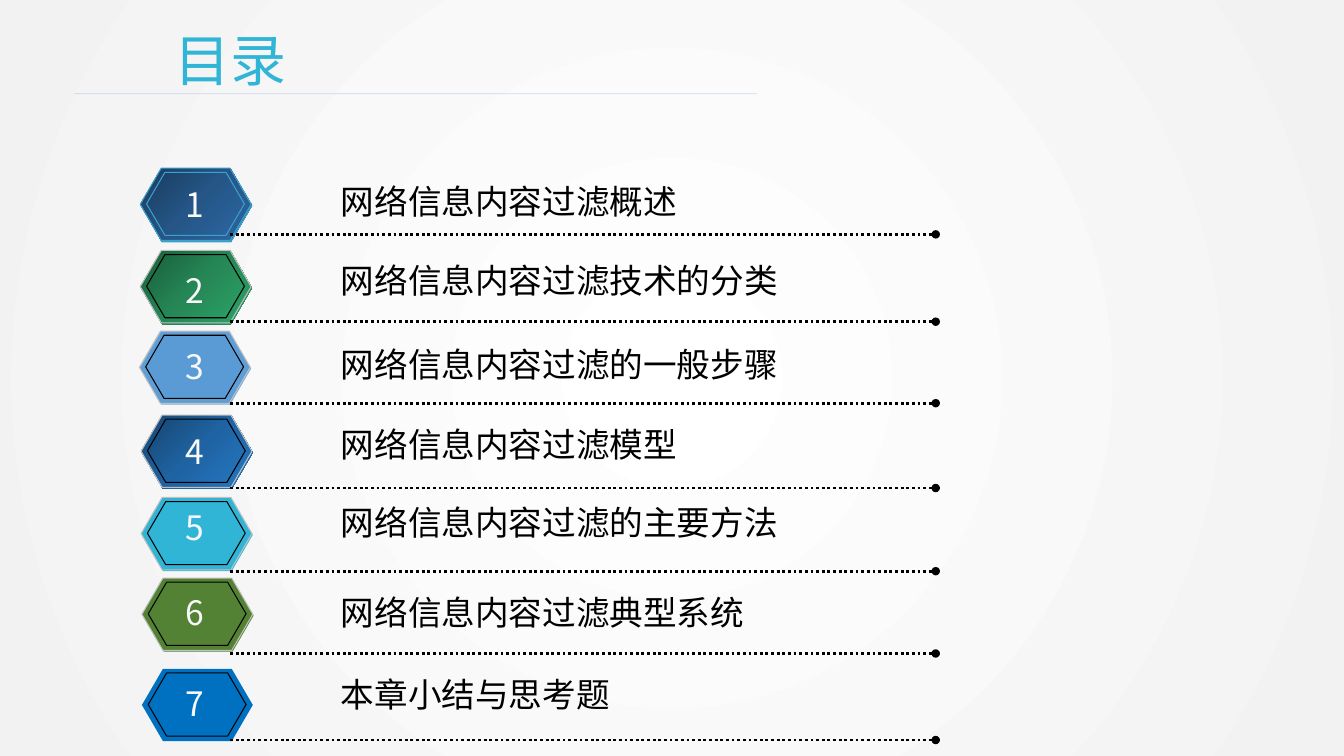
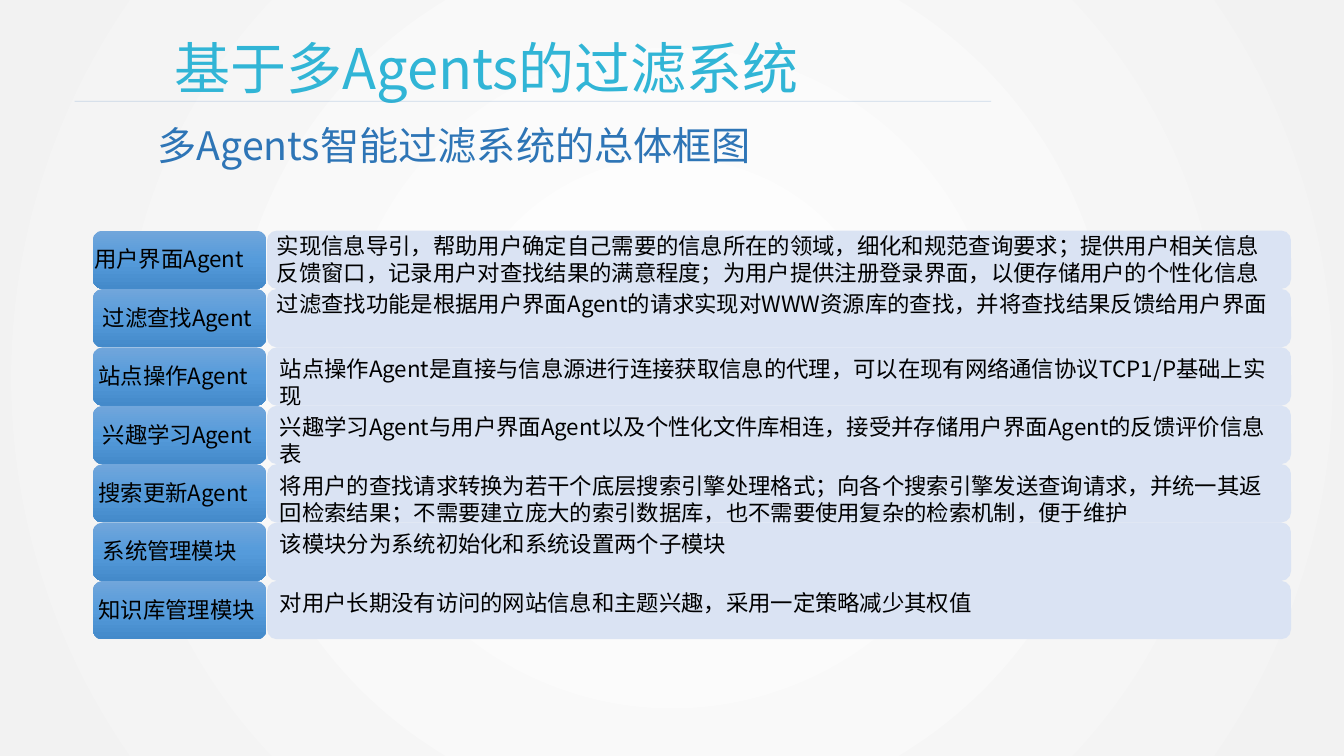
from dataclasses import dataclass

from lxml.etree import SubElement
from pptx import Presentation
from pptx.dml.color import RGBColor
from pptx.enum.dml import MSO_LINE_DASH_STYLE as Dash
from pptx.enum.shapes import MSO_CONNECTOR, MSO_SHAPE
from pptx.enum.text import MSO_ANCHOR, PP_ALIGN
from pptx.oxml import parse_xml
from pptx.oxml.ns import nsdecls, qn
from pptx.util import Inches, Pt

COLUMNS, ROWS = 160, 90
CELL = Inches(1) / 12


@dataclass(frozen=True)
class Theme:
    font: str = "Noto Sans CJK SC"
    title: str = "31B5D6"
    subtitle: str = "2E75B6"
    ink: str = "000000"
    number: str = "F8F8F8"
    title_line: str = "4A7EBB"
    edge: str = "C0C0C0"
    first_edge: str = "3DA2CB"
    panel: str = "DAE3F3"
    background: tuple = ("FFFFFF", "F2F2F2")
    card: tuple = ("71A6DB", "559BDB", "448ACA")
    title_size: int = 40
    subtitle_size: int = 28
    item_size: int = 24
    body_size: int = 16
    line_height: float = 1.2


THEME = Theme()


@dataclass(frozen=True)
class Box:
    """A region measured in grid columns and rows."""
    left: float
    top: float
    width: float
    height: float

    def inset(self, left, top, width, height):
        return Box(self.left + left, self.top + top, width, height)

    def emu(self):
        return [round(CELL * value) for value in
                (self.left, self.top, self.width, self.height)]


@dataclass(frozen=True)
class Chapter:
    """A contents entry; number, label and line are offsets from its top."""
    title: str
    fill: object
    left: float
    top: float
    number: float
    label: float
    line: float
    opacity: int = 100
    edge: str = THEME.edge
    inner_edge: str = THEME.ink
    stacked: bool = True


@dataclass(frozen=True)
class Module:
    name: str
    description: str
    shift: float = 0
    floating: bool = False


CHAPTERS = [
    Chapter("网络信息内容过滤概述", ("1A3C5F", "255687", "2B66A1"), 16.7, 20, 1.3, 0.9, 7.9,
            edge=THEME.first_edge, inner_edge=THEME.first_edge),
    Chapter("网络信息内容过滤技术的分类", ("1A5F3C", "258756", "2BA166"),
            16.7, 29.8, 1.8, 0.6, 8.5),
    Chapter("网络信息内容过滤的一般步骤", "5B9BD5", 16.6, 39.4, 1.2, 1, 8.6, opacity=83),
    Chapter("网络信息内容过滤模型", ("164672", "1F63A2", "2476C0"), 16.8, 49.4, 1.3, 0.5, 8.7),
    Chapter("网络信息内容过滤的主要方法", "31B5D6", 16.8, 59.2, 0.5, 0, 8.8),
    Chapter("网络信息内容过滤典型系统", "548235", 16.9, 68.8, 1.1, 1.1, 9),
    Chapter("本章小结与思考题", "0070C0", 16.9, 79.6, 1.1, 0, 8.5, edge=None, stacked=False),
]

MODULES = [
    Module("用户界面Agent", "实现信息导引，帮助用户确定自己需要的信息所在的领域，细化和规范查询要求；"
           "提供用户相关信息反馈窗口，记录用户对查找结果的满意程度；"
           "为用户提供注册登录界面，以便存储用户的个性化信息", -1, True),
    Module("过滤查找Agent", "过滤查找功能是根据用户界面Agent的请求实现对WWW资源库的查找，"
           "并将查找结果反馈给用户界面", floating=True),
    Module("站点操作Agent", "站点操作Agent是直接与信息源进行连接获取信息的代理，"
           "可以在现有网络通信协议TCP1/P基础上实现", -0.5),
    Module("兴趣学习Agent", "兴趣学习Agent与用户界面Agent以及个性化文件库相连，"
           "接受并存储用户界面Agent的反馈评价信息表"),
    Module("搜索更新Agent", "将用户的查找请求转换为若干个底层搜索引擎处理格式；"
           "向各个搜索引擎发送查询请求，并统一其返回检索结果；"
           "不需要建立庞大的索引数据库，也不需要使用复杂的检索机制，便于维护", -0.5),
    Module("系统管理模块", "该模块分为系统初始化和系统设置两个子模块"),
    Module("知识库管理模块", "对用户长期没有访问的网站信息和主题兴趣，采用一定策略减少其权值", -0.5),
]


def fill_gradient(owner, colors, angle=None):
    """Spread colours evenly along an angle, or outwards from the centre."""
    gradient = owner.element.xpath(".//a:gradFill")[0]
    for child in list(gradient):
        gradient.remove(child)
    stops = SubElement(gradient, qn("a:gsLst"))
    for index, color in enumerate(colors):
        position = 100000 * index // (len(colors) - 1)
        stop = SubElement(stops, qn("a:gs"), pos=str(position))
        SubElement(stop, qn("a:srgbClr"), val=color)
    if angle is None:
        gradient.append(parse_xml(
            f'<a:path {nsdecls("a")} path="circle">'
            '<a:fillToRect l="50000" t="50000" r="50000" b="50000"/></a:path>'))
    else:
        SubElement(gradient, qn("a:lin"), ang=str(angle * 60000), scaled="0")


def set_opacity(owner, percent):
    color = owner.element.xpath(".//a:srgbClr")[0]
    SubElement(color, qn("a:alpha"), val=str(percent * 1000))


def write(frame, text, size, color, align=PP_ALIGN.LEFT, wrap=True):
    frame.word_wrap = wrap
    frame.vertical_anchor = MSO_ANCHOR.TOP
    paragraph = frame.paragraphs[0]
    paragraph.alignment = align
    paragraph.line_spacing = Pt(size * THEME.line_height)
    run = paragraph.add_run()
    run.text = text
    run.font.size = Pt(size)
    run.font.name = THEME.font
    run.font.color.rgb = RGBColor.from_string(color)
    SubElement(run._r.get_or_add_rPr(), qn("a:ea"), typeface=THEME.font)


def add_text(slide, box, text, size, color, **options):
    shape = slide.shapes.add_textbox(*box.emu())
    write(shape.text_frame, text, size, color, **options)


def add_panel(slide, box, preset, fill, edge=None, angle=0, opacity=100):
    shape = slide.shapes.add_shape(preset, *box.emu())
    shape.shadow.inherit = False
    if isinstance(fill, tuple):
        shape.fill.gradient()
        fill_gradient(shape, fill, angle)
    else:
        shape.fill.solid()
        shape.fill.fore_color.rgb = RGBColor.from_string(fill)
        if opacity < 100:
            set_opacity(shape, opacity)
    if edge:
        shape.line.color.rgb = RGBColor.from_string(edge)
        shape.line.width = Pt(0.75)
    else:
        shape.line.fill.background()
    return shape


def add_line(slide, left, top, width, color, weight):
    x, y, length, _ = Box(left, top, width, 0).emu()
    line = slide.shapes.add_connector(MSO_CONNECTOR.STRAIGHT, x, y, x + length, y)
    line.line.color.rgb = RGBColor.from_string(color)
    line.line.width = Pt(weight)
    SubElement(line.element.spPr, qn("a:effectLst"))
    return line


def add_heading(slide, box, text, line_width):
    add_text(slide, box, text, THEME.title_size, THEME.title)
    line = add_line(slide, 8.9, box.top + 8.65, line_width, THEME.title_line, 0.5)
    set_opacity(line, 25)


def add_badge(slide, box, chapter):
    """Stack the hexagons behind a chapter number."""
    layers = [(box, chapter.edge),
              (box.inset(0.75, 0.5, 11.65, 7.55), chapter.inner_edge)]
    if chapter.stacked:
        back_edge = chapter.edge if chapter.edge != THEME.edge else None
        layers.insert(0, (box.inset(0.1, 0.15, box.width, box.height), back_edge))
    for layer, edge in layers:
        hexagon = add_panel(slide, layer, MSO_SHAPE.HEXAGON, chapter.fill, edge,
                            angle=45, opacity=chapter.opacity)
        hexagon.adjustments[0] = 0.29
        hexagon.adjustments[1] = 1.15


def add_chapter(slide, box, number, chapter):
    add_badge(slide, box, chapter)
    line = add_line(slide, 27.4, box.top + chapter.line, 84, THEME.ink, 2)
    line.line.dash_style = Dash.ROUND_DOT
    outline = line.element.xpath(".//a:ln")[0]
    SubElement(outline, qn("a:tailEnd"), type="oval")
    add_text(slide, Box(20.8, box.top + chapter.number, 4.8, 6), str(number),
             THEME.item_size, THEME.number, align=PP_ALIGN.CENTER, wrap=False)
    add_text(slide, Box(39.4, box.top + chapter.label, 54.4, 6.4), chapter.title,
             THEME.item_size, THEME.ink, wrap=True)


def add_module(slide, box, module):
    """Place a module's name card and its description side by side."""
    name_width, gap = 20.65, 0.1
    add_panel(slide, box.inset(0, 0, name_width, box.height),
              MSO_SHAPE.ROUNDED_RECTANGLE, THEME.card, angle=90)
    add_text(slide, box.inset(module.shift, 1.2, 21.6, 4.7), module.name,
             THEME.body_size, THEME.ink)
    start = name_width + gap
    width = box.width - start
    panel = add_panel(slide, box.inset(start, 0, width, box.height),
                      MSO_SHAPE.ROUNDED_RECTANGLE, THEME.panel)
    if module.floating:
        add_text(slide, box.inset(start, -0.45, width, 7.8), module.description,
                 THEME.body_size, THEME.ink)
    else:
        write(panel.text_frame, module.description, THEME.body_size, THEME.ink)


def build_contents(slide):
    add_heading(slide, Box(19.6, 2.5, 102, 9.2), "目录", 81.2)
    for number, chapter in enumerate(CHAPTERS, 1):
        add_chapter(slide, Box(chapter.left, chapter.top, 13.2, 8.65), number, chapter)


def build_modules(slide):
    add_heading(slide, Box(19.6, 3.4, 136.8, 9.2), "基于多Agents的过滤系统", 109.1)
    add_text(slide, Box(17.6, 13.8, 100.3, 7.2), "多Agents智能过滤系统的总体框图",
             THEME.subtitle_size, THEME.subtitle)
    pitch = 6.95
    for index, module in enumerate(MODULES):
        add_module(slide, Box(11.05, 27.45 + index * pitch, 142.65, pitch), module)


def main():
    presentation = Presentation()
    presentation.slide_width = round(COLUMNS * CELL)
    presentation.slide_height = round(ROWS * CELL)
    master = presentation.slide_master
    master.background.fill.gradient()
    fill_gradient(master, THEME.background)
    for build in (build_contents, build_modules):
        build(presentation.slides.add_slide(presentation.slide_layouts[6]))
    presentation.save("out.pptx")


if __name__ == "__main__":
    main()
